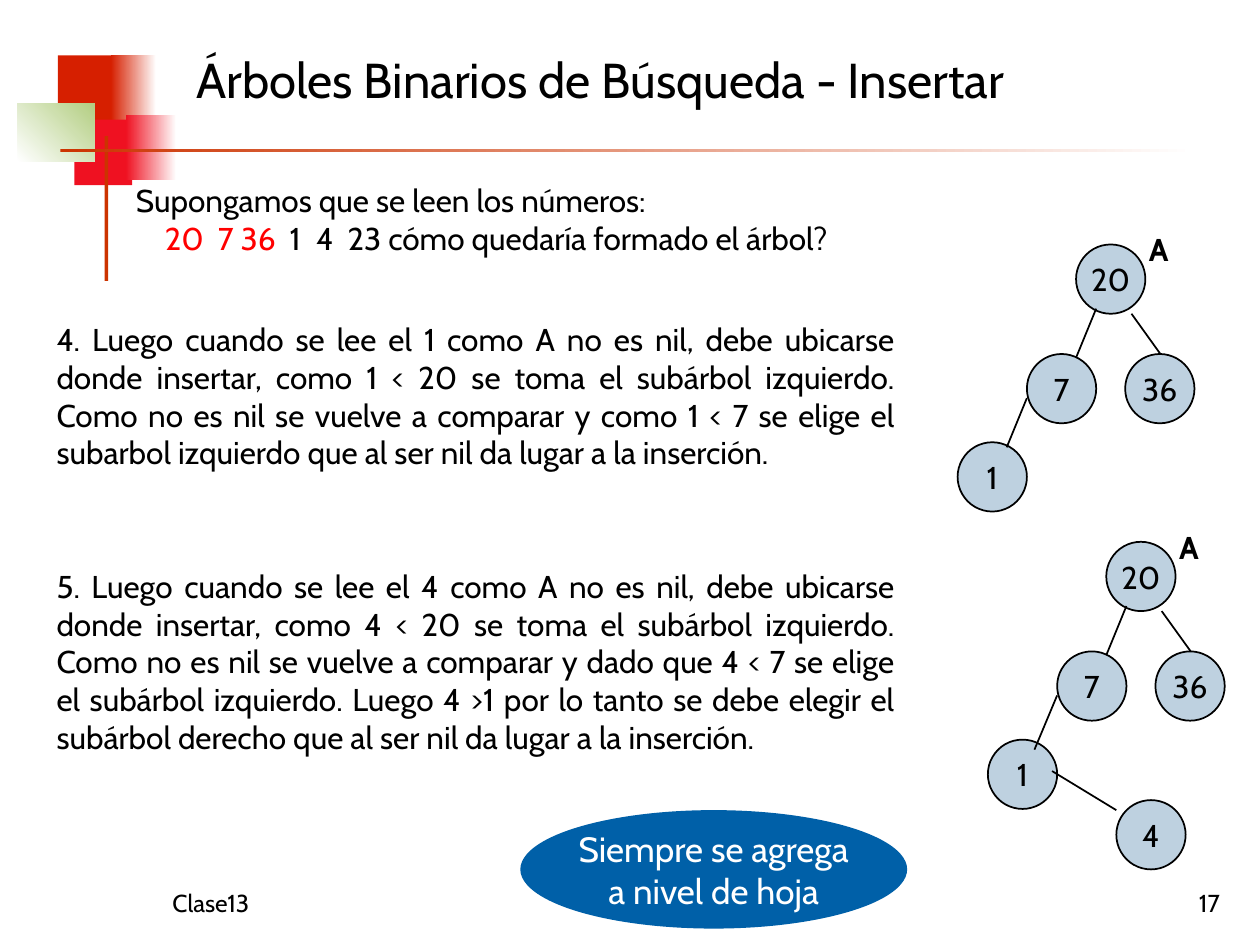
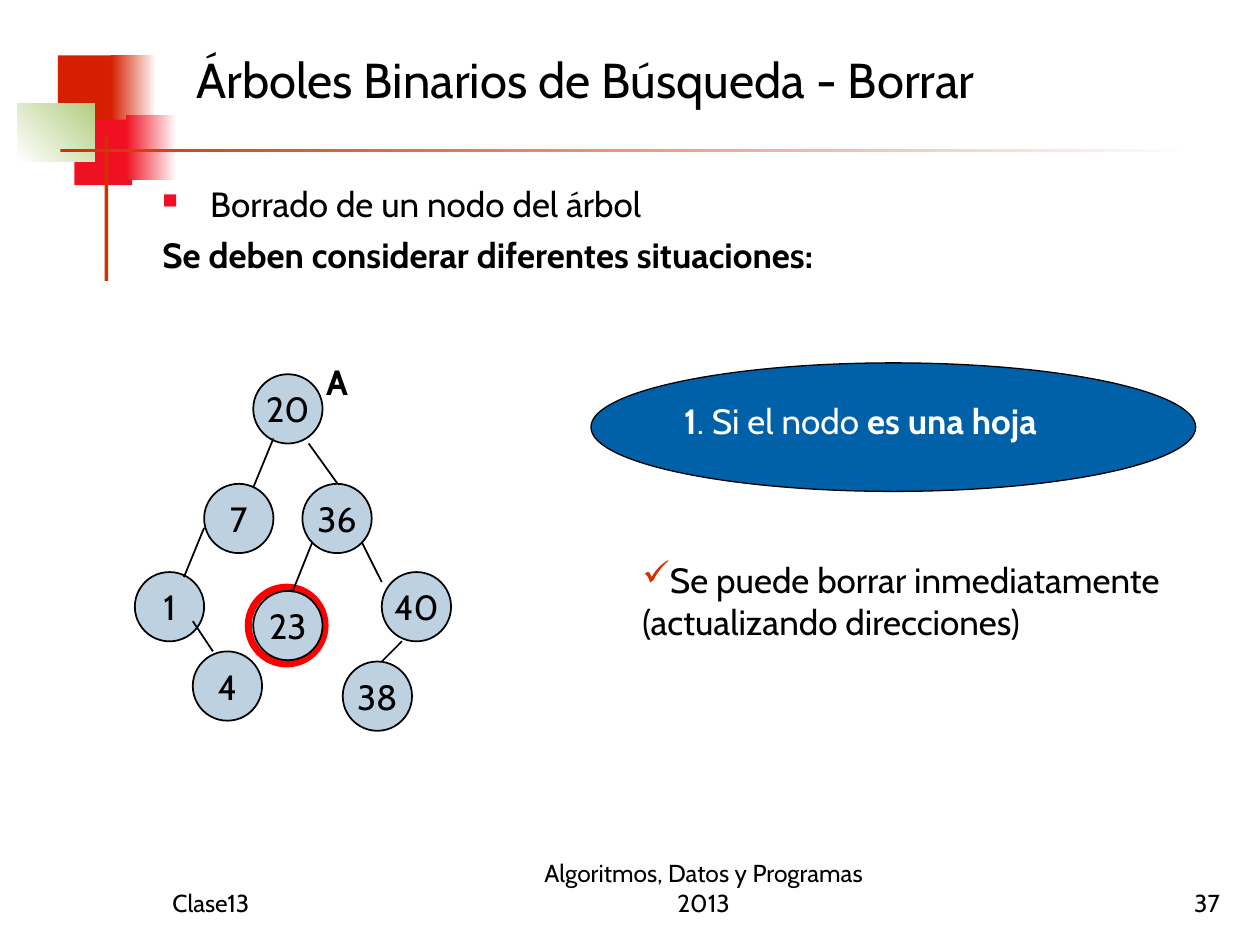
from lxml.etree import SubElement
from pptx import Presentation
from pptx.dml.color import RGBColor
from pptx.enum.shapes import MSO_CONNECTOR, MSO_SHAPE
from pptx.enum.text import MSO_ANCHOR, PP_ALIGN
from pptx.oxml.ns import qn
from pptx.util import Inches, Pt

FONT = "Cabin"
COLORS = {
    "black": "000000", "white": "FFFFFF", "orange": "D61F00", "crimson": "EF1121",
    "green": "B3CE82", "rust": "CC3300", "node": "BED1E0", "blue": "0060A8",
    "red": "FF0000",
}
BAND = [
    ((0.46, 0.44, 0.48, 0.52), ["orange"], 0),
    ((0.88, 0.44, 0.36, 0.52), ["orange", "white"], 0),
    ((0.59, 0.95, 0.46, 0.52), ["crimson"], 0),
    ((1.0, 0.91, 0.4, 0.52), ["crimson", "white"], 0),
    ((0.14, 0.82, 0.61, 0.46), ["white", "green"], 45),
    ((0.83, 1.08, 0.03, 1.15), ["rust"], 0),
    ((0.48, 1.18, 9, 0.03), ["rust", "white"], 0),
]
NODE_SIZE = 0.55
TOP_NODES = [("20", 0, 0), ("7", -0.39, 0.87), ("36", 0.39, 0.87), ("1", -0.94, 1.57)]
TOP_EDGES = [((0.16, 0.51), (0, 0.9)), ((0.44, 0.55), (0.67, 0.87))]
EDGE_TO_1 = ((-0.39, 1.22), (-0.55, 1.61))


def color(name):
    return RGBColor.from_string(COLORS[name])


def inches(values):
    return [Inches(value) for value in values]


def add_solid(shapes, kind, place, fills, angle=0, line=None, width=1):
    shape = shapes.add_shape(kind, *inches(place))
    shape.shadow.inherit = False
    if len(fills) == 1:
        shape.fill.solid()
        shape.fill.fore_color.rgb = color(fills[0])
    else:
        shape.fill.gradient()
        shape.fill.gradient_angle = angle
        for stop, name in zip(shape.fill.gradient_stops, fills):
            stop.color.rgb = color(name)
    if line:
        shape.line.color.rgb = color(line)
        shape.line.width = Pt(width)
    else:
        shape.line.fill.background()
    return shape


def add_bullet(para, symbol, tint, percent=100, indent=0):
    properties = para._p.get_or_add_pPr()
    properties.set("marL", str(Inches(indent)))
    properties.set("indent", str(-Inches(indent)))
    shade = SubElement(properties, qn("a:buClr"))
    SubElement(shade, qn("a:srgbClr"), val=COLORS[tint])
    SubElement(properties, qn("a:buSzPct"), val=str(percent * 1000))
    SubElement(properties, qn("a:buChar"), char=symbol)


def add_tabs(para, stops):
    tab_list = SubElement(para._p.get_or_add_pPr(), qn("a:tabLst"))
    for stop in stops:
        SubElement(tab_list, qn("a:tab"), pos=str(Inches(stop)), algn="l")


def write(shape, paragraphs, size, align=PP_ALIGN.LEFT, anchor=MSO_ANCHOR.TOP,
          wrap=True, tint="black", gap=0):
    frame = shape.text_frame
    frame.word_wrap = wrap
    frame.vertical_anchor = anchor
    for index, spans in enumerate(paragraphs):
        para = frame.add_paragraph() if index else frame.paragraphs[0]
        para.alignment = align
        if index and gap:
            para.space_before = Pt(gap)
        for words, bold, span_tint in spans:
            span = para.add_run()
            span.text = words
            span.font.name = FONT
            span.font.size = Pt(size)
            span.font.bold = bold
            span.font.color.rgb = color(span_tint or tint)
    return frame.paragraphs


def plain(words):
    return [(words, False, None)]


def add_text(shapes, place, paragraphs, size, **style):
    return write(shapes.add_textbox(*inches(place)), paragraphs, size, **style)


def add_edge(shapes, start, end):
    edge = shapes.add_connector(MSO_CONNECTOR.STRAIGHT, *inches(start + end))
    edge.line.color.rgb = color("black")
    edge.line.width = Pt(1)
    SubElement(edge._element.spPr, qn("a:effectLst"))


def add_tree(slide, left, top, size, extra_nodes, extra_edges, marked=None):
    shapes = slide.shapes.add_group_shape().shapes
    if marked:
        place = (left + marked[0], top + marked[1], 0.61, 0.61)
        add_solid(shapes, MSO_SHAPE.OVAL, place, ["node"], line="red", width=4)
    for label, x, y in TOP_NODES + extra_nodes:
        place = (left + x, top + y, NODE_SIZE, NODE_SIZE)
        node = add_solid(shapes, MSO_SHAPE.OVAL, place, ["node"], line="black")
        write(node, [plain(label)], size, align=PP_ALIGN.CENTER,
              anchor=MSO_ANCHOR.MIDDLE, wrap=False)
    for start, end in TOP_EDGES + extra_edges:
        add_edge(shapes, (left + start[0], top + start[1]), (left + end[0], top + end[1]))
    add_text(shapes, (left + 0.48, top - 0.16, 0.39, 0.4), [[("A", True, None)]], size)


def add_page(deck, title, number):
    page = deck.slides.add_slide(deck.slide_layouts[6])
    for place, fills, angle in BAND:
        add_solid(page.shapes, MSO_SHAPE.RECTANGLE, place, fills, angle)
    add_text(page.shapes, (1.46, 0.13, 8.11, 1), [plain(title)], 28, anchor=MSO_ANCHOR.MIDDLE)
    add_footer(page, 1.27, 2.08, "Clase13", PP_ALIGN.LEFT)
    add_footer(page, 7.7, 2.08, number, PP_ALIGN.RIGHT)
    return page


def add_footer(page, left, width, words, align):
    add_text(page.shapes, (left, 6.83, width, 0.5), [plain(words)], 14,
             align=align, anchor=MSO_ANCHOR.BOTTOM)


def build_insert_page(deck):
    page = add_page(deck, "Árboles Binarios de Búsqueda - Insertar", "17")
    intro = add_text(page.shapes, (0.98, 1.39, 8.59, 0.7), [
        plain("Supongamos que se leen los números:"),
        [("\t20\t7 36", False, "red"), ("\t1\t4\t23 cómo quedaría formado el árbol?", False, None)],
    ], 18)
    add_tabs(intro[1], [0.23, 0.65, 1.22, 1.43, 1.68])
    steps = [
        (2.49, 1.6, "4. Luego cuando se lee el 1 como A no es nil, debe ubicarse donde insertar, "
         "como 1 < 20 se toma el subárbol izquierdo. Como no es nil se vuelve a comparar y "
         "como 1 < 7 se elige el subarbol izquierdo que al ser nil da lugar a la inserción."),
        (4.45, 1.9, "5. Luego cuando se lee el 4 como A no es nil, debe ubicarse donde insertar, "
         "como 4 < 20 se toma el subárbol izquierdo. Como no es nil se vuelve a comparar y "
         "dado que 4 < 7 se elige el subárbol izquierdo. Luego 4 >1 por lo tanto se debe "
         "elegir el subárbol derecho que al ser nil da lugar a la inserción."),
    ]
    for top, height, words in steps:
        add_text(page.shapes, (0.35, top, 6.85, height), [plain(words)], 18,
                 align=PP_ALIGN.JUSTIFY)
    add_tree(page, 8.54, 1.94, 18, [], [EDGE_TO_1])
    add_tree(page, 8.78, 4.3, 18, [("4", 0.08, 2.05)],
             [((-0.39, 1.22), (-0.57, 1.65)), ((-0.43, 1.82), (0.08, 2.13))])
    callout = add_solid(page.shapes, MSO_SHAPE.OVAL, (4.13, 6.43, 3.07, 0.94), ["blue"])
    write(callout, [plain("Siempre se agrega"), plain("a nivel de hoja")], 20,
          align=PP_ALIGN.CENTER, anchor=MSO_ANCHOR.MIDDLE, wrap=False, tint="white")


def build_delete_page(deck):
    page = add_page(deck, "Árboles Binarios de Búsqueda - Borrar", "37")
    add_footer(page, 4, 3.17, "Algoritmos, Datos y Programas 2013", PP_ALIGN.CENTER)
    intro = add_text(page.shapes, (1.19, 1.4, 8.06, 1.17), [
        plain("Borrado de un nodo del árbol"),
        [("Se deben considerar diferentes situaciones:", True, None)],
    ], 20, gap=5)
    add_bullet(intro[0], "■", "crimson", percent=60, indent=0.38)
    add_tree(
        page, 2.01, 2.97, 20,
        [("4", -0.48, 2.2), ("23", 0, 1.72), ("40", 1.02, 1.57), ("38", 0.71, 2.28)],
        [EDGE_TO_1, ((-0.48, 1.96), (-0.32, 2.2)), ((0.47, 1.33), (0.31, 1.73)),
         ((0.86, 1.33), (1.02, 1.65)), ((1.18, 2.12), (1.02, 2.28))],
        marked=(-0.04, 1.69),
    )
    add_solid(page.shapes, MSO_SHAPE.OVAL, (4.69, 2.88, 4.8, 1.02), ["blue"],
              line="black", width=0.75)
    add_text(page.shapes, (5.33, 3.12, 4, 0.44), [
        [("1", True, None), (". Si el nodo ", False, None), ("es una hoja", True, None)],
    ], 20, tint="white")
    answer = add_text(page.shapes, (5, 4.38, 4.57, 1.1), [
        plain("Se puede borrar inmediatamente"), plain("(actualizando direcciones)"),
    ], 20)
    add_bullet(answer[0], "✓", "rust")


def main():
    deck = Presentation()
    deck.slide_width, deck.slide_height = Inches(10), Inches(7.5)
    build_insert_page(deck)
    build_delete_page(deck)
    deck.save("out.pptx")


if __name__ == "__main__":
    main()
